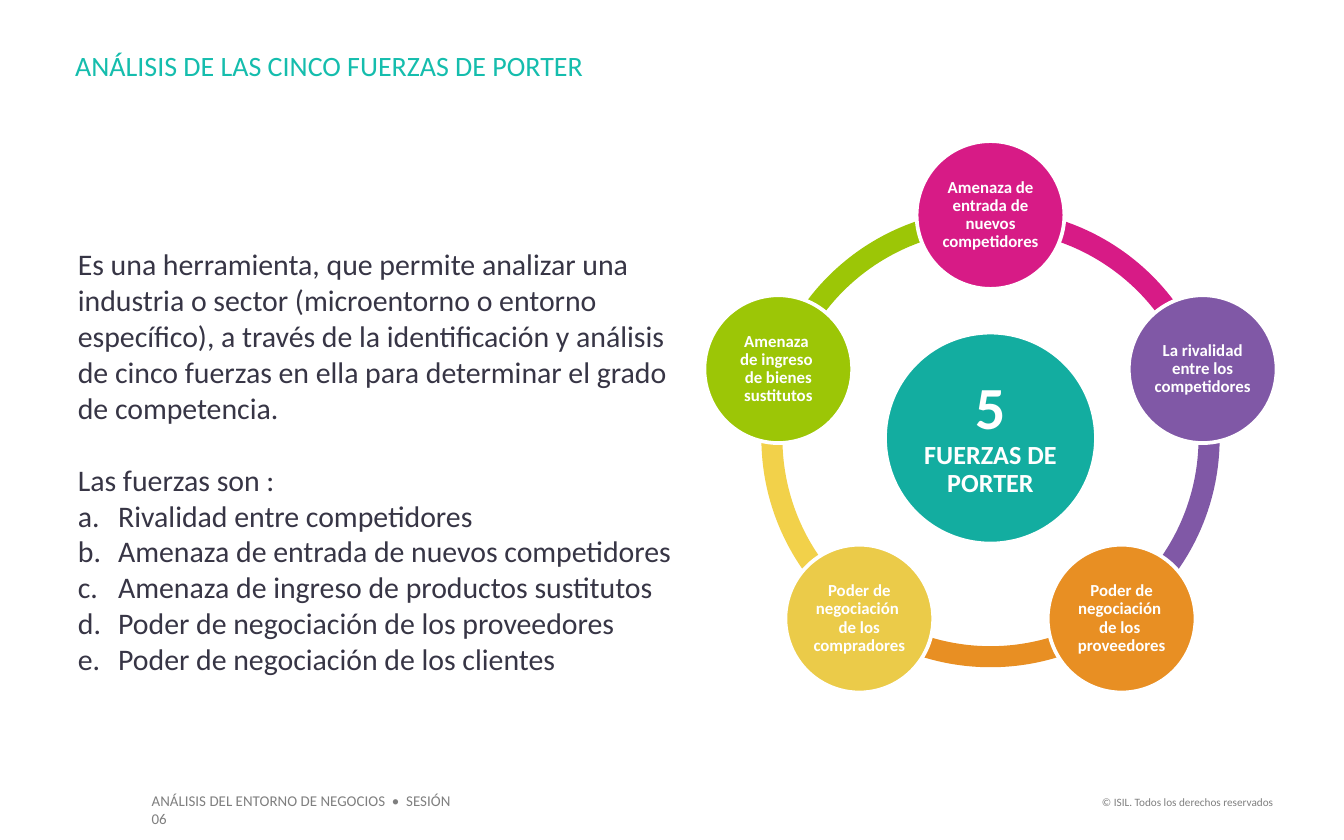
from dataclasses import dataclass
from math import cos, radians, sin
from typing import Any

from lxml.etree import SubElement
from pptx import Presentation
from pptx.dml.color import RGBColor
from pptx.enum.shapes import MSO_SHAPE
from pptx.enum.text import MSO_ANCHOR, PP_ALIGN
from pptx.oxml.ns import qn
from pptx.util import Inches, Pt

COLORS = {
    "teal": "13ADA0",
    "title": "15BDAD",
    "body": "373545",
    "footer": "7F7F7F",
    "white": "FFFFFF",
    "magenta": "D71B86",
    "purple": "8058A6",
    "orange": "E88F23",
    "mustard": "EBCB49",
    "yellow": "F2D14A",
    "green": "9CC606",
}

CENTER_X, CENTER_Y = 7.37, 3.26
ORBIT = 1.66
RING_SIZE = 3.41
RING_THICKNESS = 0.046
FORCE_SIZE = 1.1
HUB_SIZE = 1.57
FULL_TURN = 216
DEGREE = FULL_TURN / 360


@dataclass
class Line:
    text: str
    size: float
    color: str
    bold: bool = False
    align: PP_ALIGN = PP_ALIGN.LEFT
    spacing: float = 1.0
    before: float = 0
    lettered: bool = False


@dataclass
class Label:
    left: float
    top: float
    width: float
    height: float
    lines: list[Line]
    inset_x: float = 0
    inset_y: float = 0


@dataclass
class Force:
    text: str
    circle_color: str
    arc_color: str


def rgb(name: str) -> RGBColor:
    return RGBColor.from_string(COLORS[name])


def apply(target: Any, values: dict[str, Any]) -> None:
    for name, value in values.items():
        setattr(target, name, value)


def add_lettering(paragraph: Any, color: str) -> None:
    properties = paragraph._p.get_or_add_pPr()
    indent = Inches(0.3)
    properties.set("marL", str(indent))
    properties.set("indent", str(-indent))
    bullet_color = SubElement(properties, qn("a:buClr"))
    SubElement(bullet_color, qn("a:srgbClr"), val=COLORS[color])
    SubElement(properties, qn("a:buAutoNum"), type="alphaLcPeriod")


def write_lines(frame: Any, lines: list[Line], inset_x: float, inset_y: float) -> None:
    apply(frame, {
        "word_wrap": True,
        "margin_left": Inches(inset_x),
        "margin_right": Inches(inset_x),
        "margin_top": Inches(inset_y),
        "margin_bottom": Inches(inset_y),
    })
    for index, line in enumerate(lines):
        paragraph = frame.add_paragraph() if index else frame.paragraphs[0]
        paragraph.text = line.text
        apply(paragraph, {"alignment": line.align, "line_spacing": line.spacing})
        if line.before:
            paragraph.space_before = Pt(line.before)
        if line.lettered:
            add_lettering(paragraph, line.color)
        for run in paragraph.runs:
            apply(run.font, {"name": "Calibri", "size": Pt(line.size), "bold": line.bold})
            run.font.color.rgb = rgb(line.color)


def draw_label(slide: Any, label: Label) -> None:
    box = slide.shapes.add_textbox(
        Inches(label.left), Inches(label.top), Inches(label.width), Inches(label.height))
    write_lines(box.text_frame, label.lines, label.inset_x, label.inset_y)


def draw_round(slide: Any, kind: MSO_SHAPE, x: float, y: float, size: float, color: str) -> Any:
    figure = slide.shapes.add_shape(
        kind, Inches(x - size / 2), Inches(y - size / 2), Inches(size), Inches(size))
    figure.shadow.inherit = False
    figure.fill.solid()
    figure.fill.fore_color.rgb = rgb(color)
    figure.line.fill.background()
    return figure


def draw_arc(slide: Any, start: float, sweep: float, color: str) -> None:
    arc = draw_round(slide, MSO_SHAPE.BLOCK_ARC, CENTER_X, CENTER_Y, RING_SIZE, color)
    angles = (start % 360 * DEGREE, (start + sweep) % 360 * DEGREE)
    for index, value in enumerate((*angles, RING_THICKNESS)):
        arc.adjustments[index] = value


def draw_circle(slide: Any, x: float, y: float, size: float, color: str,
                lines: list[Line], inset: float) -> None:
    circle = draw_round(slide, MSO_SHAPE.OVAL, x, y, size, color)
    circle.line.color.rgb = rgb("white")
    circle.line.width = Pt(2)
    circle.text_frame.vertical_anchor = MSO_ANCHOR.MIDDLE
    write_lines(circle.text_frame, lines, inset, inset)


def circle_line(text: str, size: float) -> Line:
    return Line(text, size, "white", True, PP_ALIGN.CENTER, 0.9)


INTRODUCTION = (
    "Es una herramienta, que permite analizar una industria o sector (microentorno o "
    "entorno específico), a través de la identificación y análisis de cinco fuerzas en "
    "ella para determinar el grado de competencia."
)
FORCE_NAMES = [
    "Rivalidad entre competidores",
    "Amenaza de entrada de nuevos competidores",
    "Amenaza de ingreso de productos sustitutos",
    "Poder de negociación de los proveedores",
    "Poder de negociación de los clientes",
]
LABELS = [
    Label(1.03, 5.84, 2.56, 0.24,
          [Line("ANÁLISIS DEL ENTORNO DE NEGOCIOS  •  SESIÓN 06", 8, "footer")], 0.1, 0.05),
    Label(8.05, 5.87, 1.52, 0.2,
          [Line("© ISIL. Todos los derechos reservados", 6, "footer", align=PP_ALIGN.RIGHT)],
          0.1, 0.05),
    Label(0.56, 0.36, 7.88, 0.25,
          [Line("ANÁLISIS DE LAS CINCO FUERZAS DE PORTER", 15, "title")]),
    Label(0.58, 1.83, 4.53, 3.23, [
        Line(INTRODUCTION, 16, "body"),
        Line("Las fuerzas son :", 16, "body", before=19.5),
        *(Line(name, 16, "body", lettered=True) for name in FORCE_NAMES),
    ]),
]
FORCES = [
    Force("Amenaza de entrada de nuevos competidores", "magenta", "magenta"),
    Force("La rivalidad entre los competidores", "purple", "purple"),
    Force("Poder de negociación \nde los \nproveedores", "orange", "orange"),
    Force("Poder de negociación \nde los compradores", "mustard", "yellow"),
    Force("Amenaza \nde ingreso \nde bienes sustitutos", "green", "green"),
]


def main() -> None:
    presentation = Presentation()
    apply(presentation, {"slide_width": Inches(10), "slide_height": Inches(6.25)})
    slide = presentation.slides.add_slide(presentation.slide_layouts[6])

    for label in LABELS:
        draw_label(slide, label)

    sweep = 360 / len(FORCES)
    placed_forces = [(270 + sweep * index, force) for index, force in enumerate(FORCES)]
    for angle, force in reversed(placed_forces):
        draw_arc(slide, angle, sweep, force.arc_color)

    hub_lines = [circle_line("5", 32), circle_line("FUERZAS DE PORTER", 14)]
    draw_circle(slide, CENTER_X, CENTER_Y, HUB_SIZE, "teal", hub_lines, 0.04)
    for angle, force in placed_forces:
        x = CENTER_X + ORBIT * cos(radians(angle))
        y = CENTER_Y + ORBIT * sin(radians(angle))
        draw_circle(slide, x, y, FORCE_SIZE, force.circle_color,
                    [circle_line(force.text, 9)], 0.01)

    presentation.save("out.pptx")


if __name__ == "__main__":
    main()
